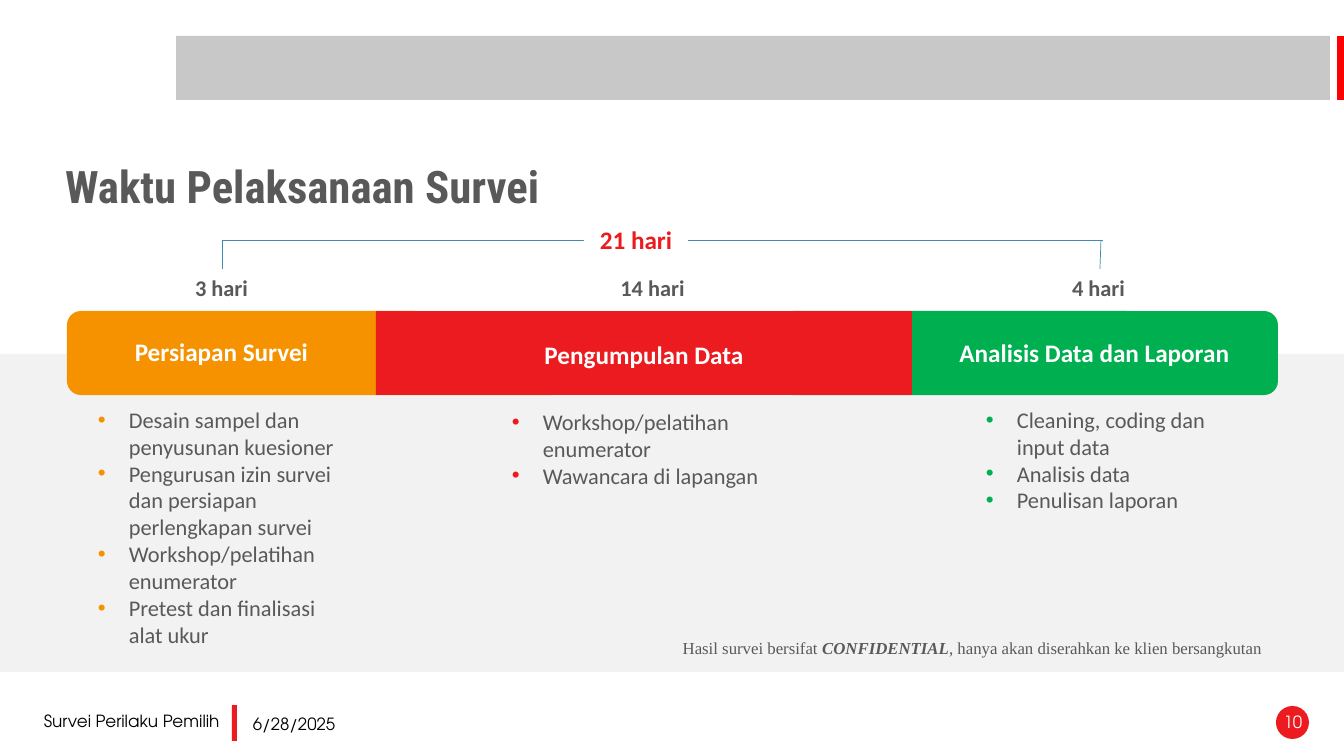
from dataclasses import dataclass

from lxml import etree
from pptx import Presentation
from pptx.dml.color import RGBColor
from pptx.enum.shapes import MSO_CONNECTOR, MSO_SHAPE
from pptx.enum.text import MSO_ANCHOR, PP_ALIGN
from pptx.oxml.ns import qn
from pptx.util import Emu, Pt

RECT, ROUND, OVAL = MSO_SHAPE.RECTANGLE, MSO_SHAPE.ROUNDED_RECTANGLE, MSO_SHAPE.OVAL
LINE = MSO_CONNECTOR.STRAIGHT
LEFT, MID, RIGHT = PP_ALIGN.LEFT, PP_ALIGN.CENTER, PP_ALIGN.RIGHT
TOP, CENTER = MSO_ANCHOR.TOP, MSO_ANCHOR.MIDDLE
WIDE, HIGH = 1344, 756
SCALE = 12192000 / WIDE


@dataclass(frozen=True)
class Theme:
    white: str = "FFFFFF"
    black: str = "000000"
    text: str = "595959"
    silver: str = "C8C8C8"
    pale: str = "F2F2F2"
    accent: str = "FF0000"
    red: str = "EB1B1F"
    orange: str = "F69200"
    green: str = "00B050"
    blue: str = "418AB3"
    body: str = "Calibri"
    head: str = "Roboto Condensed"
    foot: str = "TeX Gyre Adventor"
    serif: str = "Times New Roman"
    title: int = 32
    label: int = 18
    item: int = 16
    small: int = 12


T = Theme()

PHASES = [
    dict(name="Persiapan Survei", days="3 hari", color=T.orange,
         cell=(67, 309), drop=0, tag=(180, 83), list=(88, 401),
         items=["Desain sampel dan penyusunan kuesioner",
                "Pengurusan izin survei dan persiapan perlengkapan survei",
                "Workshop/pelatihan enumerator",
                "Pretest dan finalisasi alat ukur"]),
    dict(name="Pengumpulan Data", days="14 hari", color=T.red,
         cell=(376, 536), drop=3, tag=(593, 119), list=(502, 403),
         items=["Workshop/pelatihan enumerator", "Wawancara di lapangan"]),
    dict(name="Analisis Data dan Laporan", days="4 hari", color=T.green,
         cell=(912, 365), drop=1, tag=(1057, 83), list=(976, 401),
         items=["Cleaning, coding dan input data", "Analisis data",
                "Penulisan laporan"]),
]


def px(n):
    return Emu(round(n * SCALE))


def rgb(color):
    return RGBColor.from_string(color)


def dot(para, color):
    props = para._p.get_or_add_pPr()
    props.set("marL", str(px(31)))
    props.set("indent", str(-px(31)))
    paint = etree.SubElement(props, qn("a:buClr"))
    etree.SubElement(paint, qn("a:srgbClr")).set("val", color)
    etree.SubElement(props, qn("a:buFont")).set("typeface", "Arial")
    etree.SubElement(props, qn("a:buChar")).set("char", "•")


def write(frame, *lines, font=T.body, size=T.item, color=T.text, bold=False,
          align=LEFT, anchor=TOP, space=None, bullet=None):
    frame.word_wrap = True
    frame.vertical_anchor = anchor
    for i, line in enumerate(lines):
        para = frame.add_paragraph() if i else frame.paragraphs[0]
        para.alignment = align
        if space:
            para.line_spacing = space
        if bullet:
            dot(para, bullet)
        for j, part in enumerate(line.split("*")):
            run = para.add_run()
            run.text = part
            face = run.font
            face.name, face.size = font, Pt(size)
            face.color.rgb = rgb(color)
            face.bold = bold or j % 2 == 1
            face.italic = j % 2 == 1


def label(slide, box, *lines, **style):
    area = slide.shapes.add_textbox(*map(px, box))
    write(area.text_frame, *lines, **style)


def block(slide, kind, box, color):
    shape = slide.shapes.add_shape(kind, *map(px, box))
    shape.shadow.inherit = False
    shape.fill.solid()
    shape.fill.fore_color.rgb = rgb(color)
    shape.line.fill.background()
    return shape


def stroke(slide, start, end, color, width):
    line = slide.shapes.add_connector(LINE, *map(px, start + end))
    line.line.color.rgb = rgb(color)
    line.line.width = Pt(width)
    etree.SubElement(line._element.spPr, qn("a:effectLst"))


def header(slide, box):
    x, y, w, h = box
    block(slide, RECT, (x, y, w - 14, h), T.silver)
    stroke(slide, (x + w - 3, y), (x + w - 3, y + h), T.accent, 6)


def heading(slide, box):
    title = slide.shapes.title
    title.left, title.top, title.width, title.height = map(px, box)
    write(title.text_frame, "Waktu Pelaksanaan Survei", font=T.head,
          size=T.title, bold=True, anchor=CENTER, space=0.9)


def bars(slide, box):
    x, y, w, h = box
    first, middle, last = PHASES
    block(slide, ROUND, (x + w - 499, y, 499, h), last["color"])
    block(slide, ROUND, (x, y, 499, h), first["color"])
    left, wide = middle["cell"]
    block(slide, RECT, (left, y, wide, h), middle["color"])
    for phase in PHASES:
        left, wide = phase["cell"]
        label(slide, (left, y + phase["drop"], wide, h), phase["name"],
              size=T.label, color=T.white, bold=True, align=MID,
              anchor=CENTER, space=0.9)
        left, wide = phase["tag"]
        label(slide, (left, y - 42, wide, 37), phase["days"], bold=True, align=MID)
        left, top = phase["list"]
        label(slide, (left, top, 269, 27 * len(phase["items"]) + 37),
              *phase["items"], bullet=phase["color"])


def bracket(slide, box):
    x, y, w, h = box
    end = x + w
    for a, b in [((x, y + h), (x, y)), ((x, y), (end, y)),
                 ((end - 2, y), (end - 3, y + h))]:
        stroke(slide, a, b, T.blue, 0.5)
    total = block(slide, RECT, (x + 362, y - 21, 104, 40), T.white)
    write(total.text_frame, "21 hari", size=T.label, color=T.red, bold=True, align=MID)


def footer(slide, box):
    x, y, w, h = box
    style = dict(font=T.foot, size=T.small)
    label(slide, (x, y, 212, h), "Survei Perilaku Pemilih", color=T.black, **style)
    block(slide, RECT, (x + 198, y - 1, 5, 36), T.red)
    label(slide, (x + 209, y + 3, 170, h), "6/28/2025", color=T.black, **style)
    block(slide, OVAL, (x + w - 36, y, 33, 33), T.red)
    label(slide, (x + w - 179, y + 1, 179, h), "10", color=T.white, align=RIGHT, **style)


def main():
    deck = Presentation()
    deck.slide_width, deck.slide_height = px(WIDE), px(HIGH)
    slide = deck.slides.add_slide(deck.slide_layouts[5])
    header(slide, (176, 36, 1168, 64))
    block(slide, RECT, (0, 354, WIDE, 318), T.pale)
    heading(slide, (55, 143, 675, 93))
    bars(slide, (67, 311, 1211, 84))
    bracket(slide, (222, 240, 881, 29))
    label(slide, (654, 633, 618, 31),
          "Hasil survei bersifat *CONFIDENTIAL*, hanya akan diserahkan ke klien bersangkutan",
          font=T.serif, size=T.small, align=RIGHT)
    footer(slide, (34, 706, 1278, 40))
    deck.save("out.pptx")


if __name__ == "__main__":
    main()
